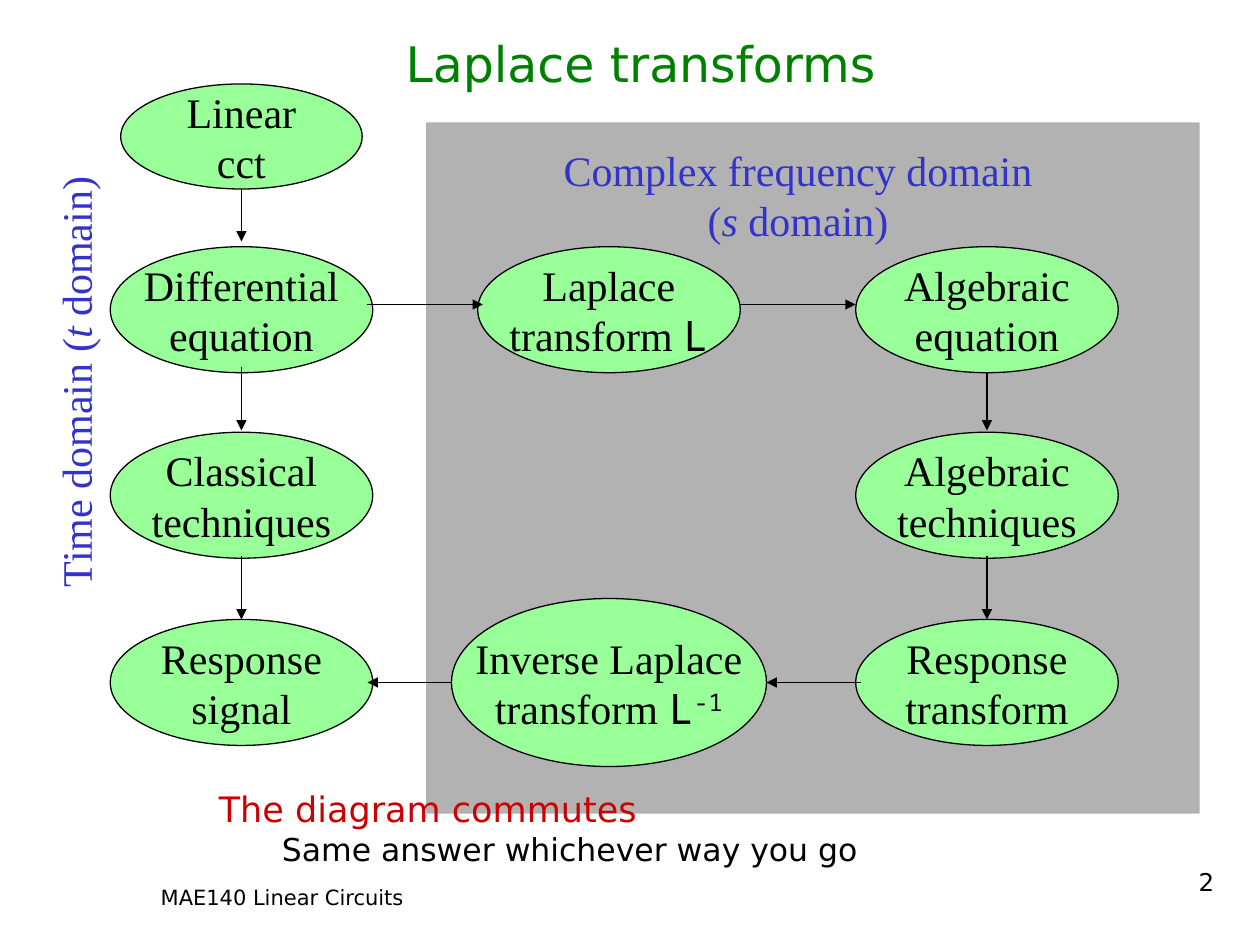
from pptx import Presentation
from pptx.dml.color import RGBColor
from pptx.enum.shapes import MSO_CONNECTOR as Connector, MSO_SHAPE as Shape
from pptx.enum.text import MSO_ANCHOR as Anchor, PP_ALIGN as Align
from pptx.oxml.ns import qn
from pptx.util import Pt
from lxml.etree import SubElement

SERIF, SANS, MONO = "Times New Roman", "DejaVu Sans", "Noto Sans Mono"
BLACK, BLUE, GREEN, RED = "000000", "3333CC", "008000", "CC0000"
GRAY, LIME = "B2B2B2", "99FF99"

LEFT, MIDDLE, RIGHT = 138, 348, 564
ROWS = 177, 283, 390

STEPS = [
    (LEFT, 78, 138, 60, ["Linear", "cct"]),
    (LEFT, ROWS[0], 150, 72, ["Differential", "equation"]),
    (LEFT, ROWS[1], 150, 72, ["Classical", "techniques"]),
    (LEFT, ROWS[2], 150, 72, ["Response", "signal"]),
    (MIDDLE, ROWS[0], 150, 72, ["Laplace", [("transform ", ""), ("L", "mono")]]),
    (MIDDLE, ROWS[2], 180, 96,
     ["Inverse Laplace", [("transform ", ""), ("L", "mono"), ("-1", "super")]]),
    (RIGHT, ROWS[0], 150, 72, ["Algebraic", "equation"]),
    (RIGHT, ROWS[1], 150, 72, ["Algebraic", "techniques"]),
    (RIGHT, ROWS[2], 150, 72, ["Response", "transform"]),
]

ARROWS = [
    (LEFT, 108, LEFT, 138),
    (LEFT, 210, LEFT, 246),
    (LEFT, 318, LEFT, 354),
    (210, 174, 276, 174),
    (423, 174, 489, 174),
    (RIGHT, 213, RIGHT, 246),
    (RIGHT, 318, RIGHT, 354),
    (492, 390, 438, 390),
    (258, 390, 210, 390),
]


def color(value):
    return RGBColor.from_string(value)


def style_run(r, style):
    if style == "italic":
        r.font.italic = True
    elif style in ("mono", "super"):
        r.font.name = MONO
    if style == "super":
        r._r.get_or_add_rPr().set("baseline", "30000")


def write(tf, lines, font, size, ink, align):
    for i, line in enumerate(lines):
        p = tf.paragraphs[0] if i == 0 else tf.add_paragraph()
        p.alignment = align
        p.font.name = font
        p.font.size = Pt(size)
        p.font.color.rgb = color(ink)
        for text, style in [(line, "")] if isinstance(line, str) else line:
            r = p.add_run()
            r.text = text
            style_run(r, style)


def add_text(s, x, y, w, h, lines, font, size, ink, align=Align.LEFT):
    sp = s.shapes.add_textbox(Pt(x), Pt(y), Pt(w), Pt(h))
    sp.text_frame.word_wrap = True
    write(sp.text_frame, lines, font, size, ink, align)
    return sp


def add_panel(s, x, y, w, h):
    sp = s.shapes.add_shape(Shape.RECTANGLE, Pt(x), Pt(y), Pt(w), Pt(h))
    sp.shadow.inherit = False
    sp.fill.solid()
    sp.fill.fore_color.rgb = color(GRAY)
    sp.line.fill.background()


def add_step(s, cx, cy, w, h, lines):
    sp = s.shapes.add_shape(Shape.OVAL, Pt(cx - w / 2), Pt(cy - h / 2), Pt(w), Pt(h))
    sp.shadow.inherit = False
    sp.fill.solid()
    sp.fill.fore_color.rgb = color(LIME)
    sp.line.color.rgb = color(BLACK)
    sp.line.width = Pt(0.75)
    tf = sp.text_frame
    tf.word_wrap = False
    tf.vertical_anchor = Anchor.MIDDLE
    write(tf, lines, SERIF, 24, BLACK, Align.CENTER)


def add_arrow(s, x1, y1, x2, y2):
    line = s.shapes.add_connector(Connector.STRAIGHT, Pt(x1), Pt(y1), Pt(x2), Pt(y2))
    line.line.color.rgb = color(BLACK)
    line.line.width = Pt(0.75)
    SubElement(line.line._get_or_add_ln(), qn("a:tailEnd"), type="triangle")
    SubElement(line._element.spPr, qn("a:effectLst"))


def add_conclusion(s):
    sp = add_text(s, 118, 451, 404, 50,
                  ["The diagram commutes", "Same answer whichever way you go"],
                  SANS, 20, RED)
    first, second = sp.text_frame.paragraphs
    first.line_spacing = second.line_spacing = 0.8
    second.space_before = Pt(4.5)
    second.font.size = Pt(18)
    second.font.color.rgb = color(BLACK)
    for p, margin, indent in (first, 27, -27), (second, 58.5, -22.5):
        pPr = p._p.get_or_add_pPr()
        pPr.set("marL", str(Pt(margin)))
        pPr.set("indent", str(Pt(indent)))


def main():
    prs = Presentation()
    prs.slide_width, prs.slide_height = Pt(720), Pt(540)
    s = prs.slides.add_slide(prs.slide_layouts[6])

    add_panel(s, 243.5, 70, 442, 395)
    title = add_text(s, 30, 12, 672, 48, ["Laplace transforms"],
                     SANS, 28, GREEN, Align.CENTER)
    title.text_frame.vertical_anchor = Anchor.MIDDLE
    add_conclusion(s)
    for step in STEPS:
        add_step(s, *step)
    for arrow in ARROWS:
        add_arrow(s, *arrow)

    time = add_text(s, -87, 194.5, 260, 36,
                    [[("Time domain (", ""), ("t", "italic"), (" domain)", "")]],
                    SERIF, 24, BLUE)
    time.rotation = 270
    add_text(s, 311, 79, 290, 65,
             ["Complex frequency domain",
              [("(", ""), ("s", "italic"), (" domain)", "")]],
             SERIF, 24, BLUE, Align.CENTER)
    add_text(s, 24, 502, 274.5, 24, ["MAE140 Linear Circuits"],
             SANS, 12, BLACK, Align.CENTER)
    add_text(s, 516, 492, 185, 22, ["2"], SANS, 14, BLACK, Align.RIGHT)

    prs.save("out.pptx")


if __name__ == "__main__":
    main()
